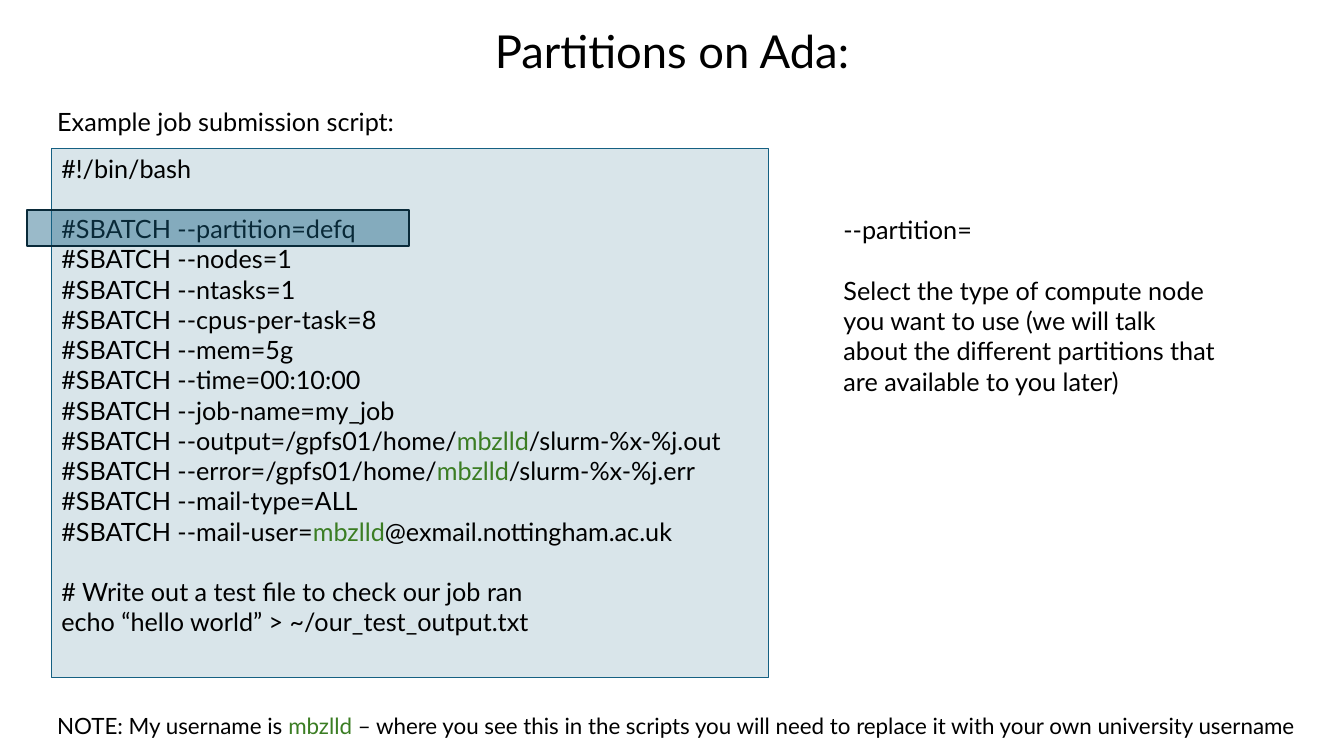
"""Build the slide on choosing a partition in a job script."""
from dataclasses import dataclass

import pptx
import pptx.dml.color
import pptx.enum.shapes
import pptx.enum.text
import pptx.oxml
import pptx.oxml.ns
import pptx.util

Pt = pptx.util.Pt
Color = pptx.dml.color.RGBColor
Align = pptx.enum.text.PP_ALIGN
Anchor = pptx.enum.text.MSO_ANCHOR

BLACK = Color(0x00, 0x00, 0x00)
GREEN = Color(0x3B, 0x7D, 0x23)
TEAL = Color(0x15, 0x60, 0x82)
NAVY = Color(0x09, 0x2A, 0x39)
FONT = "Lato"
USER = "mbzlld"
LEADING = 1.2

SCRIPT = """#!/bin/bash

#SBATCH --partition=defq
#SBATCH --nodes=1
#SBATCH --ntasks=1
#SBATCH --cpus-per-task=8
#SBATCH --mem=5g
#SBATCH --time=00:10:00
#SBATCH --job-name=my_job
#SBATCH --output=/gpfs01/home/mbzlld/slurm-%x-%j.out
#SBATCH --error=/gpfs01/home/mbzlld/slurm-%x-%j.err
#SBATCH --mail-type=ALL
#SBATCH --mail-user=mbzlld@exmail.nottingham.ac.uk

# Write out a test file to check our job ran
echo “hello world” > ~/our_test_output.txt"""

ADVICE = """--partition=

Select the type of compute node you want to use (we will talk about the different partitions that are available to you later)"""

NOTE = ("NOTE: My username is mbzlld – where you see this in the scripts "
        "you will need to replace it with your own university username")


@dataclass
class Area:
    left: float
    top: float
    width: float
    height: float

    def box(self) -> tuple:
        return tuple(Pt(n) for n in (self.left, self.top, self.width, self.height))


@dataclass
class Label:
    area: Area
    text: str
    size: float = 18
    align: Align = Align.LEFT
    anchor: Anchor = Anchor.TOP
    leading: float = 1.0


@dataclass
class Panel:
    area: Area
    alpha: int
    line: Color
    weight: float
    text: str = ""


LABELS = [
    Label(Area(120, 15.8, 720, 44), "Partitions on Ada:", 32.4,
          Align.CENTER, Anchor.BOTTOM, 0.9),
    Label(Area(33.8, 72.7, 258.5, 29), "Example job submission script:"),
    Label(Area(33.8, 505.4, 911, 26.6), NOTE, 16),
    Label(Area(595.4, 149.8, 283.7, 160), ADVICE),
]
PANELS = [
    Panel(Area(36.7, 105.8, 512, 378), 16, TEAL, 0.75, SCRIPT),
    Panel(Area(19.4, 149.8, 273, 26), 43, NAVY, 1.5),
]


def write(frame, label: Label) -> None:
    frame.word_wrap = True
    frame.vertical_anchor = label.anchor
    first = True
    for block in label.text.split("\n\n"):
        for row, line in enumerate(block.split("\n")):
            para = frame.paragraphs[0] if first else frame.add_paragraph()
            para.alignment = label.align
            para.line_spacing = label.leading
            if row == 0 and not first:
                para.space_before = Pt(label.size * LEADING)
            first = False
            para.font.name = FONT
            para.font.size = Pt(label.size)
            para.font.color.rgb = BLACK
            for part in filter(None, line.partition(USER)):
                run = para.add_run()
                run.text = part
                if part == USER:
                    run.font.color.rgb = GREEN


def draw(slide, panel: Panel) -> None:
    kind = pptx.enum.shapes.MSO_SHAPE.RECTANGLE
    shape = slide.shapes.add_shape(kind, *panel.area.box())
    shape.shadow.inherit = False
    shape.fill.solid()
    shape.fill.fore_color.rgb = TEAL
    tint = shape.element.spPr.find(".//" + pptx.oxml.ns.qn("a:srgbClr"))
    alpha = pptx.oxml.parse_xml(
        f'<a:alpha {pptx.oxml.ns.nsdecls("a")} val="{panel.alpha * 1000}"/>')
    tint.append(alpha)
    shape.line.color.rgb = panel.line
    shape.line.width = Pt(panel.weight)
    if panel.text:
        write(shape.text_frame, Label(panel.area, panel.text))


def main() -> None:
    deck = pptx.Presentation()
    deck.slide_width, deck.slide_height = Pt(960), Pt(540)
    slide = deck.slides.add_slide(deck.slide_layouts[6])
    for panel in PANELS:
        draw(slide, panel)
    for label in LABELS:
        frame = slide.shapes.add_textbox(*label.area.box()).text_frame
        write(frame, label)
    deck.save("out.pptx")


if __name__ == "__main__":
    main()
